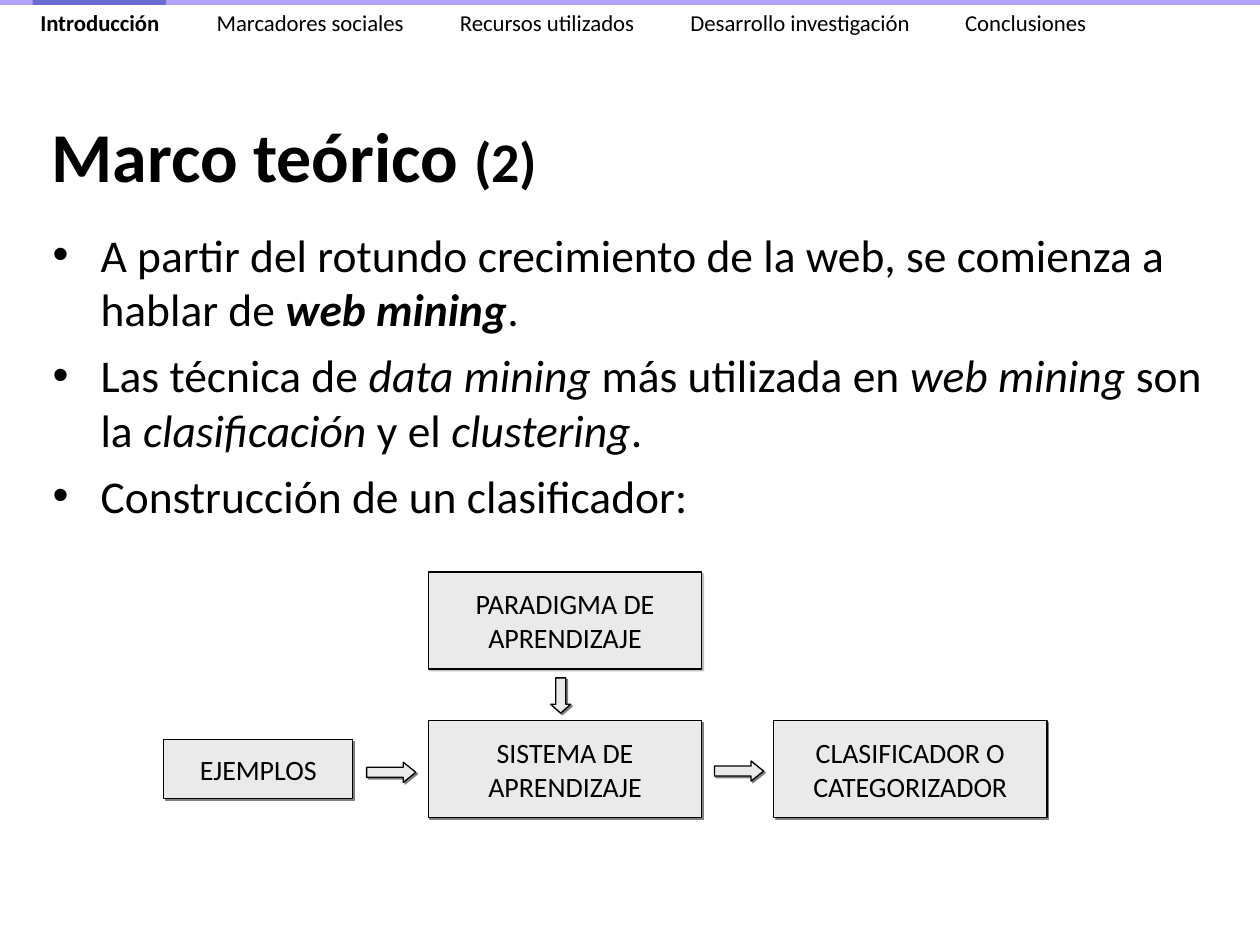
from dataclasses import dataclass

from lxml.etree import SubElement
from pptx import Presentation
from pptx.dml.color import RGBColor
from pptx.enum.shapes import MSO_SHAPE
from pptx.enum.text import MSO_ANCHOR, MSO_AUTO_SIZE, PP_ALIGN
from pptx.oxml.ns import qn
from pptx.util import Inches, Pt

COLORS = {
    "text": "000000",
    "fill": "EAEAEA",
    "shadow": "808080",
    "bar": "B2A2F8",
    "active": "6B6BCF",
}
FONT = "Calibri"


@dataclass
class Block:
    left: float
    top: float
    width: float
    height: float
    text: str = ""
    shadow_opacity: int = 100


@dataclass
class Arrow:
    left: float
    top: float
    width: float
    head: float
    rotation: int = 0


@dataclass
class Span:
    text: str
    bold: bool = False
    italic: bool = False


def color(name: str) -> RGBColor:
    return RGBColor.from_string(COLORS[name])


def format_span(span, size: int, bold: bool = False, italic: bool = False) -> None:
    values = {"name": FONT, "size": Pt(size), "bold": bold, "italic": italic}
    for name, value in values.items():
        setattr(span.font, name, value)
    span.font.color.rgb = color("text")


def add_spans(para, spans: list[Span], size: int) -> None:
    for item in spans:
        span = para.add_run()
        span.text = item.text
        format_span(span, size, item.bold, item.italic)


def place(shape, left: float, top: float, width: float, height: float) -> None:
    lengths = {"left": left, "top": top, "width": width, "height": height}
    for name, value in lengths.items():
        setattr(shape, name, Inches(value))


def add_filled(page, kind, left: float, top: float, width: float, height: float, fill: str):
    shape = page.shapes.add_shape(
        kind, Inches(left), Inches(top), Inches(width), Inches(height))
    shape.shadow.inherit = False
    shape.fill.solid()
    shape.fill.fore_color.rgb = color(fill)
    shape.line.fill.background()
    return shape


def outline_with_shadow(shape, opacity: int = 100) -> None:
    shape.line.color.rgb = color("text")
    shape.line.width = Pt(0.75)
    effects = shape._element.spPr.find(qn("a:effectLst"))
    shadow = SubElement(effects, qn("a:outerShdw"), dist=str(Pt(1.4)),
                        dir=str(45 * 60000), algn="ctr", rotWithShape="0")
    tint = SubElement(shadow, qn("a:srgbClr"), val=COLORS["shadow"])
    SubElement(tint, qn("a:alpha"), val=str(opacity * 1000))


def add_block(page, block: Block) -> None:
    box = add_filled(page, MSO_SHAPE.RECTANGLE, block.left, block.top,
                     block.width, block.height, "fill")
    outline_with_shadow(box, block.shadow_opacity)
    frame = box.text_frame
    frame.word_wrap = False
    frame.vertical_anchor = MSO_ANCHOR.MIDDLE
    para = frame.paragraphs[0]
    para.text = block.text
    para.alignment = PP_ALIGN.CENTER
    for span in para.runs:
        format_span(span, 16)


def add_arrow(page, arrow: Arrow) -> None:
    shape = add_filled(page, MSO_SHAPE.RIGHT_ARROW, arrow.left, arrow.top,
                       arrow.width, 0.16, "fill")
    shape.adjustments[0] = 0.5
    shape.adjustments[1] = arrow.head
    shape.rotation = arrow.rotation
    outline_with_shadow(shape)


def add_bullet(para) -> None:
    properties = para._p.get_or_add_pPr()
    properties.set("marL", str(Inches(0.38)))
    properties.set("indent", str(-Inches(0.38)))
    bullet_color = SubElement(properties, qn("a:buClr"))
    SubElement(bullet_color, qn("a:srgbClr"), val=COLORS["text"])
    SubElement(properties, qn("a:buFont"), typeface="Arial")
    SubElement(properties, qn("a:buChar"), char="•")


def add_text_box(page, left: float, top: float, width: float, height: float):
    box = page.shapes.add_textbox(
        Inches(left), Inches(top), Inches(width), Inches(height))
    box.text_frame.word_wrap = True
    return box.text_frame


def add_navigation(page, sections: list[str], stops: list[float]) -> None:
    add_filled(page, MSO_SHAPE.RECTANGLE, 0, 0, 10, 0.04, "bar")
    frame = add_text_box(page, 0.1, 0.02, 9.77, 0.32)
    frame.margin_left = Inches(0.22)
    para = frame.paragraphs[0]
    tabs = SubElement(para._p.get_or_add_pPr(), qn("a:tabLst"))
    for stop in stops:
        SubElement(tabs, qn("a:tab"), pos=str(Inches(stop)), algn="l")
    current, *others = sections
    add_spans(para, [Span(current, bold=True),
                     Span("".join("\t" + name for name in others))], 13)
    add_filled(page, MSO_SHAPE.RECTANGLE, 0.26, 0, 1.06, 0.04, "active")


SECTIONS = ["Introducción", "Marcadores sociales", "Recursos utilizados",
            "Desarrollo investigación", "Conclusiones"]
SECTION_STOPS = [1.4, 3.33, 5.16, 7.34]
POINTS = [
    [Span("A partir del rotundo crecimiento de la web, se comienza a hablar de "),
     Span("web mining", bold=True, italic=True), Span(".")],
    [Span("Las técnica de "), Span("data mining ", italic=True),
     Span("más utilizada en "), Span("web mining ", italic=True),
     Span("son la "), Span("clasificación ", italic=True),
     Span("y el "), Span("clustering", italic=True), Span(".")],
    [Span("Construcción de un clasificador:")],
]
BLOCKS = [
    Block(3.4, 4.54, 2.17, 0.77, "PARADIGMA DE\nAPRENDIZAJE", 50),
    Block(3.4, 5.72, 2.17, 0.77, "SISTEMA DE\nAPRENDIZAJE"),
    Block(1.3, 5.87, 1.5, 0.47, "EJEMPLOS"),
    Block(6.14, 5.72, 2.17, 0.77, "CLASIFICADOR O\nCATEGORIZADOR"),
]
ARROWS = [
    Arrow(2.91, 6.05, 0.39, 0.62),
    Arrow(5.67, 6.04, 0.39, 0.62),
    Arrow(4.31, 5.44, 0.28, 0.44, 90),
]


def main() -> None:
    deck = Presentation()
    deck.slide_width, deck.slide_height = Inches(10), Inches(7.5)
    page = deck.slides.add_slide(deck.slide_layouts[5])

    # Title
    title = page.shapes.title
    place(title, 0.31, 0.86, 9.61, 0.74)
    title.text_frame.auto_size = MSO_AUTO_SIZE.NONE
    title.text_frame.vertical_anchor = MSO_ANCHOR.MIDDLE
    heading = title.text_frame.paragraphs[0]
    heading.alignment = PP_ALIGN.LEFT
    add_spans(heading, [Span("Marco teórico ", bold=True)], 40)
    add_spans(heading, [Span("(2)", bold=True)], 32)

    # Bullet points
    frame = add_text_box(page, 0.32, 1.75, 9.37, 5.67)
    for index, spans in enumerate(POINTS):
        para = frame.add_paragraph() if index else frame.paragraphs[0]
        add_bullet(para)
        if index:
            para.space_before = Pt(6.5)
        add_spans(para, spans, 26)

    # Classifier diagram
    for block in BLOCKS:
        add_block(page, block)
    for arrow in ARROWS:
        add_arrow(page, arrow)

    # Section navigation
    add_navigation(page, SECTIONS, SECTION_STOPS)

    deck.save("out.pptx")


if __name__ == "__main__":
    main()
